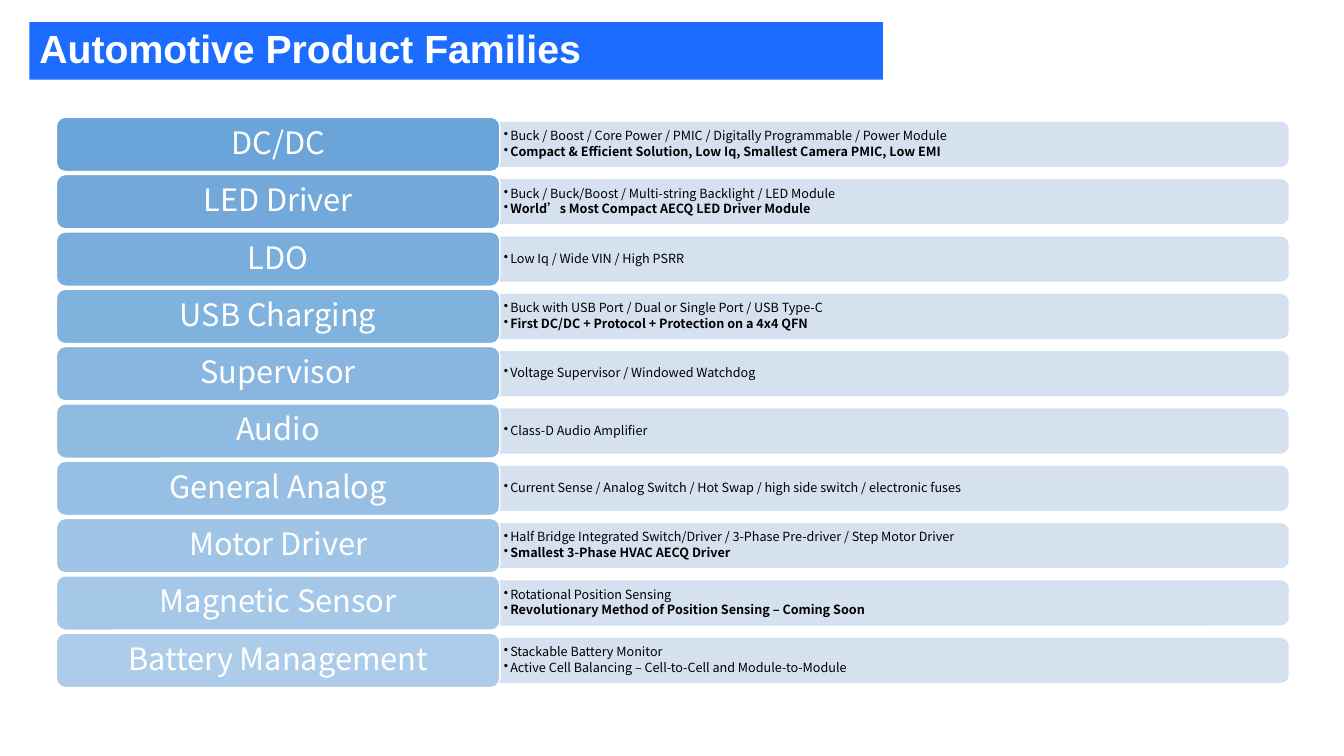
from lxml import etree
from pptx import Presentation
from pptx.dml.color import RGBColor
from pptx.enum.shapes import MSO_SHAPE
from pptx.enum.text import MSO_ANCHOR, MSO_AUTO_SIZE, PP_ALIGN
from pptx.oxml.ns import qn
from pptx.util import Cm, Pt

ROUNDED = MSO_SHAPE.ROUNDED_RECTANGLE
TOP_ROUNDED = MSO_SHAPE.ROUND_2_SAME_RECTANGLE
MIDDLE = MSO_ANCHOR.MIDDLE
NO_AUTOFIT = MSO_AUTO_SIZE.NONE
LEFT, CENTER = PP_ALIGN.LEFT, PP_ALIGN.CENTER

FAMILIES = [
    ("DC/DC", [
        ("Buck / Boost / Core Power / PMIC / Digitally Programmable / Power Module", False),
        ("Compact & Efficient Solution, Low Iq, Smallest Camera PMIC, Low EMI", True)]),
    ("LED Driver", [
        ("Buck / Buck/Boost / Multi-string Backlight / LED Module", False),
        ("World’s Most Compact AECQ LED Driver Module", True)]),
    ("LDO", [("Low Iq / Wide VIN / High PSRR", False)]),
    ("USB Charging", [
        ("Buck with USB Port / Dual or Single Port / USB Type-C", False),
        ("First DC/DC + Protocol + Protection on a 4x4 QFN", True)]),
    ("Supervisor", [("Voltage Supervisor / Windowed Watchdog", False)]),
    ("Audio", [("Class-D Audio Amplifier", False)]),
    ("General Analog", [
        ("Current Sense / Analog Switch / Hot Swap / high side switch / electronic fuses", False)]),
    ("Motor Driver", [
        ("Half Bridge Integrated Switch/Driver / 3-Phase Pre-driver / Step Motor Driver", False),
        ("Smallest 3-Phase HVAC AECQ Driver", True)]),
    ("Magnetic Sensor", [
        ("Rotational Position Sensing", False),
        ("Revolutionary Method of Position Sensing – Coming Soon", True)]),
    ("Battery Management", [
        ("Stackable Battery Monitor", False),
        ("Active Cell Balancing – Cell-to-Cell and Module-to-Module", False)]),
]


def paint(fill, color, opacity=100):
    """Apply a hex colour and an opacity in percent to a fill."""
    fill.solid()
    fill.fore_color.rgb = RGBColor.from_string(color)
    if opacity < 100:
        element = fill._xPr.find(qn("a:solidFill"))[0]
        etree.SubElement(element, qn("a:alpha"), val=str(round(opacity * 1000)))


def apply_format(target, values):
    """Set every attribute named in a dict of format values."""
    for name, value in values.items():
        setattr(target, name, value)


class FamilySlide:
    """Holds the style and the current slide."""

    title_font = {"name": "Arial", "size": Pt(28), "bold": True}
    label_font = {"name": "Noto Sans CJK SC", "size": Pt(22), "bold": False}
    detail_font = {"name": "Noto Sans CJK SC", "size": Pt(9)}
    detail_frame = {
        "word_wrap": True, "vertical_anchor": MIDDLE, "auto_size": NO_AUTOFIT,
        "margin_left": Cm(0.1), "margin_right": Cm(0.1),
        "margin_top": Cm(0.05), "margin_bottom": Cm(0.05)}
    label_frame = {"word_wrap": True, "vertical_anchor": MIDDLE}
    title_frame = {"word_wrap": True, "vertical_anchor": MIDDLE, "auto_size": NO_AUTOFIT}
    blue, label_blue, bar_blue = "1C6CFF", "5B9BD5", "D2DEEF"
    white, black = "FFFFFF", "000000"
    label_left, label_width, label_height = 1.42, 11.18, 1.37
    bar_width, bar_height, detail_height = 19.86, 1.1, 1
    first_center, last_center = 3.64, 16.64

    def __init__(self, presentation):
        """Add the slide to the presentation."""
        self.slide = presentation.slides.add_slide(presentation.slide_layouts[5])

    def set_text(self, paragraph, text, font, color, alignment):
        """Put formatted text in a paragraph."""
        paragraph.text = text
        apply_format(paragraph, {"alignment": alignment, "line_spacing": 0.9})
        apply_format(paragraph.font, font)
        paragraph.font.color.rgb = RGBColor.from_string(color)

    def title(self, text):
        """Fill the title placeholder."""
        shape = self.slide.shapes.title
        apply_format(shape, {"left": Cm(0.74), "top": Cm(0.56),
                             "width": Cm(21.51), "height": Cm(1.45)})
        paint(shape.fill, self.blue)
        apply_format(shape.text_frame, self.title_frame)
        self.set_text(shape.text_frame.paragraphs[0], text, self.title_font, self.white, LEFT)

    def box(self, kind, left, top, width, height, fill, line, fill_opacity, line_opacity=100):
        """Add a filled and outlined shape."""
        shape = self.slide.shapes.add_shape(kind, Cm(left), Cm(top), Cm(width), Cm(height))
        shape.shadow.inherit = False
        paint(shape.fill, fill, fill_opacity)
        shape.line.width = Pt(1)
        paint(shape.line.fill, line, line_opacity)
        return shape

    def bar(self, center):
        """Add the pale bar with its rounded end to the right."""
        middle = self.label_left + self.label_width + self.bar_width / 2
        shape = self.box(TOP_ROUNDED, middle - self.bar_height / 2, center - self.bar_width / 2,
                         self.bar_height, self.bar_width, self.bar_blue, self.bar_blue, 90, 90)
        shape.rotation = 90

    def details(self, center, lines):
        """Add the bulleted list on a bar."""
        text_box = self.slide.shapes.add_textbox(
            Cm(self.label_left + self.label_width), Cm(center - self.detail_height / 2),
            Cm(self.bar_width), Cm(self.detail_height))
        frame = text_box.text_frame
        apply_format(frame, self.detail_frame)
        for index, (text, bold) in enumerate(lines):
            paragraph = frame.add_paragraph() if index else frame.paragraphs[0]
            properties = paragraph._p.get_or_add_pPr()
            properties.set("marL", str(Cm(0.16)))
            properties.set("indent", str(-Cm(0.16)))
            etree.SubElement(properties, qn("a:buChar"), char="•")
            apply_format(paragraph, {"level": 1, "space_after": Pt(1.35)})
            self.set_text(paragraph, text, {**self.detail_font, "bold": bold}, self.black, LEFT)

    def label(self, center, text, opacity):
        """Add the rounded label of a product family."""
        shape = self.box(ROUNDED, self.label_left, center - self.label_height / 2,
                         self.label_width, self.label_height,
                         self.label_blue, self.white, opacity)
        apply_format(shape.text_frame, self.label_frame)
        self.set_text(shape.text_frame.paragraphs[0], text, self.label_font, self.white, CENTER)

    def families(self, families):
        """Stack the families at equal steps with fading labels."""
        steps = len(families) - 1
        for index, (name, lines) in enumerate(families):
            center = self.first_center + index * (self.last_center - self.first_center) / steps
            self.bar(center)
            self.details(center, lines)
            self.label(center, name, 90 - 40 * index / steps)


def main():
    """Build and save the presentation."""
    presentation = Presentation()
    presentation.slide_width, presentation.slide_height = Cm(33.87), Cm(19.05)
    family_slide = FamilySlide(presentation)
    family_slide.title("Automotive Product Families")
    family_slide.families(FAMILIES)
    presentation.save("out.pptx")


if __name__ == "__main__":
    main()
